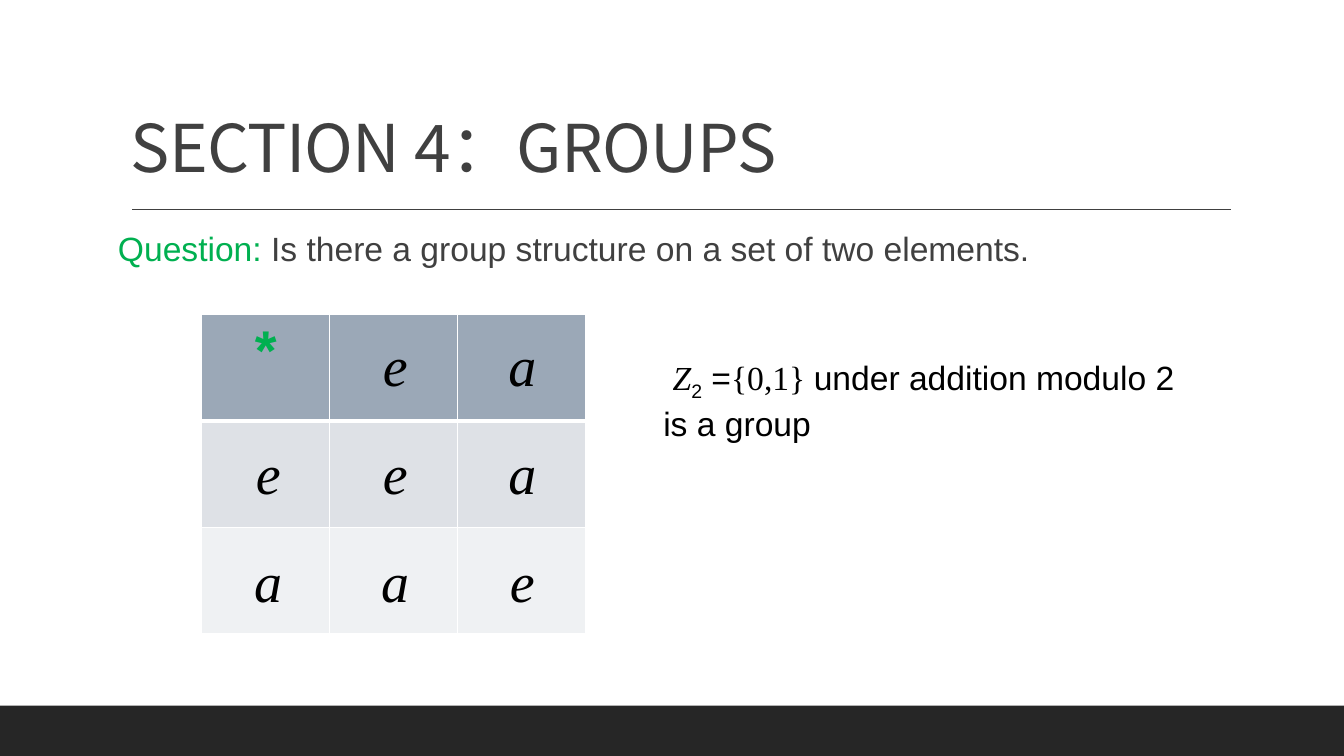
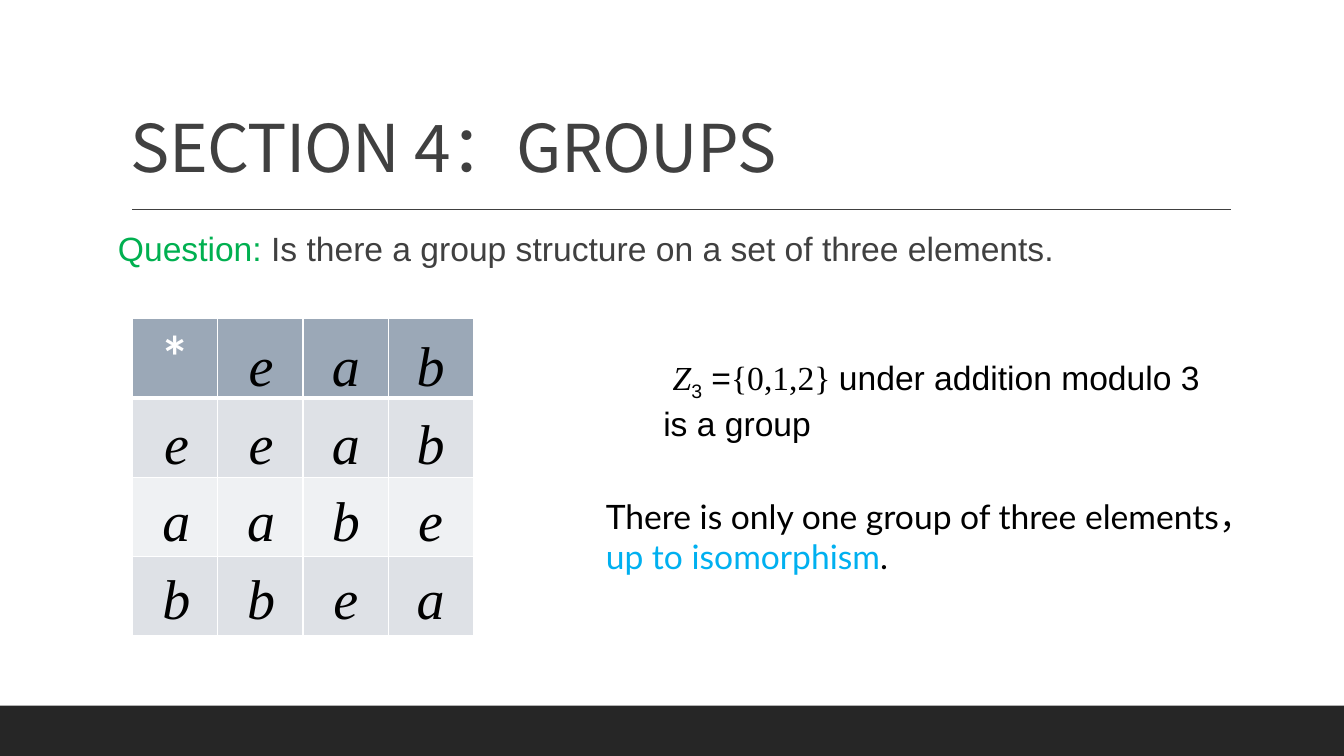
from dataclasses import dataclass

from lxml.etree import SubElement
from pptx import Presentation
from pptx.dml.color import RGBColor
from pptx.enum.shapes import MSO_CONNECTOR as Connector, MSO_SHAPE as Shape
from pptx.enum.text import MSO_ANCHOR as Anchor, MSO_AUTO_SIZE as AutoSize, PP_ALIGN as Align
from pptx.oxml.ns import qn
from pptx.util import Inches, Pt


@dataclass(frozen=True)
class Theme:
    black: str = "000000"
    white: str = "FFFFFF"
    ink: str = "404040"
    band: str = "262626"
    green: str = "00B050"
    blue: str = "00B0F0"
    header: str = "9BA8B7"
    stripes: tuple = ("DEE1E6", "EFF1F3")
    title_font: str = "Noto Sans CJK SC"
    sans: str = "Arial"
    math: str = "Times New Roman"
    note_font: str = "Lato"
    title_size: int = 47
    body_size: int = 24
    symbol_size: int = 40


THEME = Theme()
TITLE = "SECTION 4：GROUPS"
LETTER_SIZE = (0.48, 0.77)

# Each grid has its table box, and the first letter's corner with the step to the next.
SLIDES = [
    {
        "count": "two",
        "order": 2,
        "members": "{0,1} ",
        "star": (THEME.sans, THEME.green),
        "products": ["ea", "eea", "aae"],
        "table": (2, 3.12, 3.81, 3.17),
        "letters": (2.42, 3.23),
        "step": (1.26, 1.07),
        "remark": [],
    },
    {
        "count": "three",
        "order": 3,
        "members": "{0,1,2} ",
        "star": (THEME.note_font, THEME.white),
        "products": ["eab", "eeab", "aabe", "bbea"],
        "table": (1.31, 3.16, 3.39, 3.15),
        "letters": (1.51, 3.23),
        "step": (0.84, 0.77),
        "remark": [
            ("There is only one group of three elements，", {}),
            ("up to isomorphism", {"color": THEME.blue}),
            (".", {}),
        ],
    },
]


def rgb(color):
    return RGBColor.from_string(color)


def set_font(font, name, size, color):
    font.name = name
    font.size = Pt(size)
    font.color.rgb = rgb(color)


def add_box(page, left, top, width, height):
    box = page.shapes.add_textbox(*map(Inches, (left, top, width, height)))
    box.text_frame.word_wrap = True
    return box.text_frame


def add_spans(para, spans):
    """Add (text, style) runs; style may change font, color, italic or baseline."""
    for text, style in spans:
        span = para.add_run()
        span.text = text
        if "font" in style:
            span.font.name = style["font"]
        if "color" in style:
            span.font.color.rgb = rgb(style["color"])
        if style.get("italic"):
            span.font.italic = True
        if "baseline" in style:
            span._r.get_or_add_rPr().set("baseline", str(style["baseline"] * 1000))


def add_frame(page):
    """Draw the band, the rule and the title that all slides share."""
    band = page.shapes.add_shape(Shape.RECTANGLE, 0, Inches(7), Inches(13.33), Inches(0.5))
    band.shadow.inherit = False
    band.fill.solid()
    band.fill.fore_color.rgb = rgb(THEME.band)
    band.line.fill.background()

    rule = page.shapes.add_connector(
        Connector.STRAIGHT, Inches(1.31), Inches(2.08), Inches(12.21), Inches(2.08)
    )
    rule.line.color.rgb = rgb(THEME.ink)
    rule.line.width = Pt(1)
    SubElement(rule._element.spPr, qn("a:effectLst"))

    frame = add_box(page, 1.2, 0.31, 11, 1.59)
    frame.vertical_anchor = Anchor.BOTTOM
    para = frame.paragraphs[0]
    para.line_spacing = 0.9
    add_spans(para, [(TITLE, {})])
    set_font(para.font, THEME.title_font, THEME.title_size, THEME.ink)
    properties = para.runs[0]._r.get_or_add_rPr()
    properties.set("spc", "-50")
    SubElement(properties, qn("a:ea"), typeface=THEME.title_font)


def add_question(page, count):
    frame = add_box(page, 1.17, 2.17, 11, 0.71)
    frame.margin_left = frame.margin_right = 0
    para = frame.paragraphs[0]
    para.line_spacing = 1.1
    para.space_after = Pt(2)
    set_font(para.font, THEME.sans, THEME.body_size, THEME.ink)
    add_spans(para, [
        ("Question: ", {"color": THEME.green}),
        (f"Is there a group structure on a set of {count} elements.", {}),
    ])


def set_borders(cell, bottom):
    properties = cell._tc.get_or_add_tcPr()
    for side, width in (("L", 1), ("R", 1), ("T", 1), ("B", bottom)):
        line = SubElement(properties, qn(f"a:ln{side}"), w=str(Pt(width)))
        fill = SubElement(line, qn("a:solidFill"))
        SubElement(fill, qn("a:srgbClr"), val=THEME.white)


def add_grid(page, content):
    size = len(content["products"])
    left, top, width, height = map(Inches, content["table"])
    table = page.shapes.add_table(size, size, left, top, width, height).table
    table.first_row = table.horz_banding = False
    for row in range(size):
        fill = THEME.stripes[(row - 1) % 2] if row else THEME.header
        for column in range(size):
            cell = table.cell(row, column)
            set_borders(cell, bottom=1 if row else 3)
            cell.fill.solid()
            cell.fill.fore_color.rgb = rgb(fill)

    para = table.cell(0, 0).text_frame.paragraphs[0]
    para.text = "*"
    para.alignment = Align.CENTER
    font, color = content["star"]
    set_font(para.font, font, THEME.symbol_size, color)
    para.font.bold = True


def add_letters(page, content):
    left, top = content["letters"]
    across, down = content["step"]
    size = len(content["products"])
    for row, letters in enumerate(content["products"]):
        first = size - len(letters)
        for column, letter in enumerate(letters, first):
            frame = add_box(page, left + column * across, top + row * down, *LETTER_SIZE)
            frame.word_wrap = False
            frame.auto_size = AutoSize.SHAPE_TO_FIT_TEXT
            para = frame.paragraphs[0]
            para.text = letter
            para.alignment = Align.CENTER
            set_font(para.font, THEME.math, THEME.symbol_size, THEME.black)
            para.font.italic = True


def add_note(page, place, font, lines):
    frame = add_box(page, *place)
    frame.auto_size = AutoSize.SHAPE_TO_FIT_TEXT
    for index, spans in enumerate(lines):
        para = frame.add_paragraph() if index else frame.paragraphs[0]
        set_font(para.font, font, THEME.body_size, THEME.black)
        add_spans(para, spans)


def example_lines(order, members):
    return [
        [
            (" ", {}),
            ("Z", {"font": THEME.math, "italic": True}),
            (str(order), {"baseline": -25}),
            (" =", {}),
            (members, {"font": THEME.math}),
            (f"under addition modulo {order}", {}),
        ],
        [("is a group", {})],
    ]


def main():
    deck = Presentation()
    deck.slide_width, deck.slide_height = Inches(13.33), Inches(7.5)
    for content in SLIDES:
        page = deck.slides.add_slide(deck.slide_layouts[6])
        add_frame(page)
        add_question(page, content["count"])
        add_grid(page, content)
        add_letters(page, content)
        lines = example_lines(content["order"], content["members"])
        add_note(page, (6.48, 3.49, 6.22, 0.91), THEME.sans, lines)
        if content["remark"]:
            add_note(page, (5.91, 4.87, 6.62, 0.91), THEME.note_font, [content["remark"]])
    deck.save("out.pptx")


if __name__ == "__main__":
    main()
